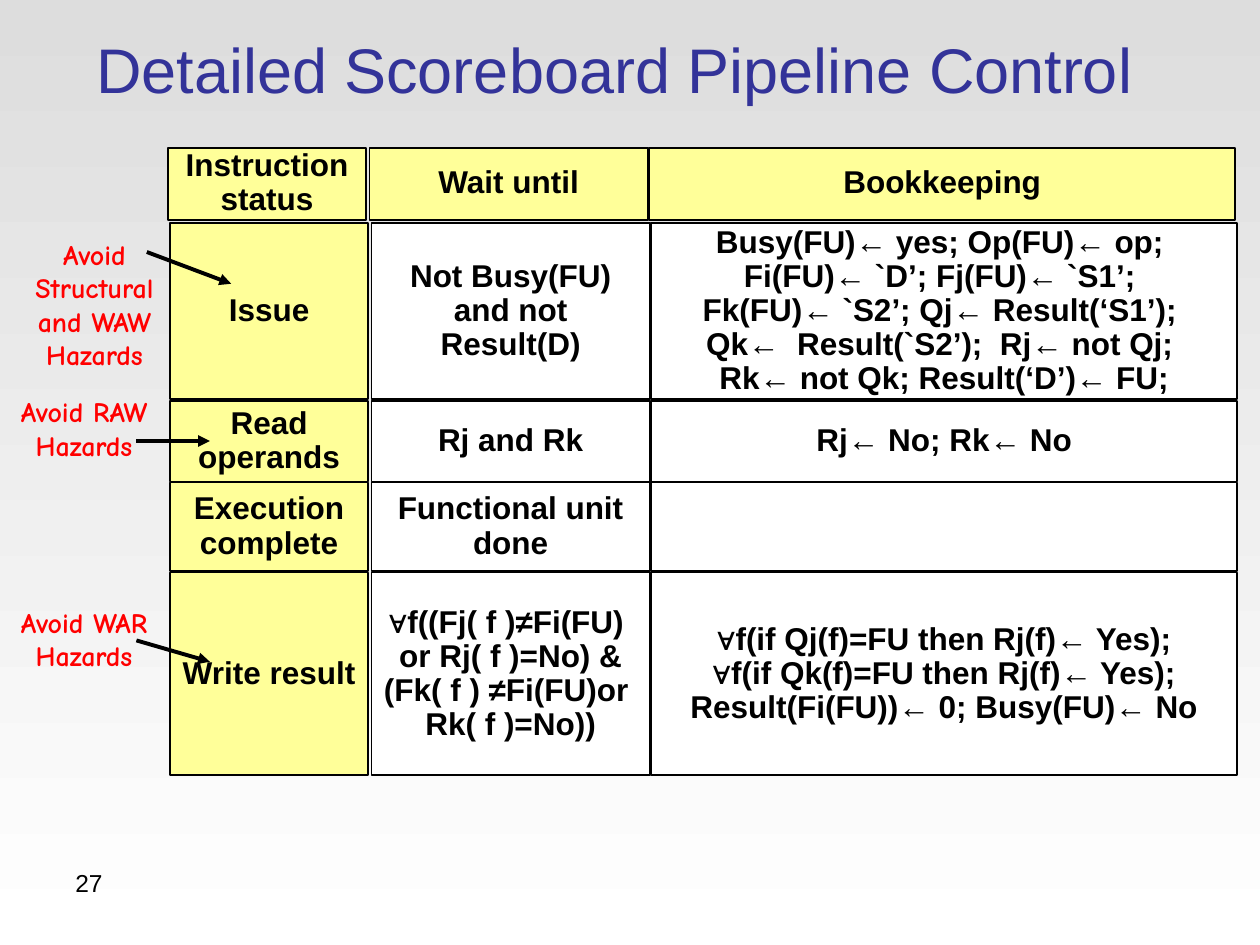
from dataclasses import dataclass

from lxml import etree
from pptx import Presentation
from pptx.dml.color import RGBColor
from pptx.enum import shapes, text
from pptx.oxml import ns
from pptx.util import Cm, Pt

BLACK, WHITE, YELLOW, RED, NAVY = "000000", "FFFFFF", "FFFF99", "FF0000", "333399"


@dataclass
class Band:
    """One table row: its top, height and three cell texts."""
    top: float
    height: float
    words: tuple[str, str, str]


@dataclass
class Note:
    """A red remark and the arrow from it to a cell."""
    words: str
    top: float
    width: float
    height: float
    start: tuple[float, float]
    end: tuple[float, float]


COLS = [(3.43, 3.99), (7.49, 5.61), (13.13, 11.81)]
BANDS = [
    Band(2.98, 1.45, ("Instruction status", "Wait until", "Bookkeeping")),
    Band(4.49, 3.56, (
        "Issue",
        "Not Busy(FU) and not Result(D)",
        "Busy(FU)← yes; Op(FU)← op; \nFi(FU)← `D’; Fj(FU)← `S1’; \n"
        "Fk(FU)← `S2’; Qj← Result(‘S1’); \n"
        "Qk←  Result(`S2’);  Rj← not Qj; \n"
        "Rk← not Qk; Result(‘D’)← FU;")),
    Band(8.08, 1.63, ("Read operands", "Rj and Rk", "Rj← No; Rk← No")),
    Band(9.73, 1.78, ("Execution complete", "Functional unit done", "")),
    Band(11.54, 4.09, (
        "Write result",
        "∀f((Fj( f )≠Fi(FU) \nor Rj( f )=No) & (Fk( f ) ≠Fi(FU)or \nRk( f )=No))",
        "∀f(if Qj(f)=FU then Rj(f)← Yes);\n∀f(if Qk(f)=FU then Rj(f)← Yes); "
        "Result(Fi(FU))← 0; Busy(FU)← No")),
]
NOTES = [
    Note("Avoid Structural and WAW Hazards", 4.65, 3.81, 2.97, (2.96, 5.08), (4.66, 5.72)),
    Note("Avoid RAW Hazards", 7.83, 3.39, 1.63, (2.75, 8.89), (4.23, 8.89)),
    Note("Avoid WAR Hazards", 12.07, 3.39, 1.63, (2.75, 12.91), (4.23, 13.34)),
]


def tint(code: str) -> RGBColor:
    return RGBColor.from_string(code)


def write(shape, words: str, size: float = 18, font: str = "Arial",
          color: str = BLACK, bold: bool = False, space: float = 1.0,
          align=text.PP_ALIGN.CENTER, anchor=text.MSO_ANCHOR.MIDDLE) -> None:
    frame = shape.text_frame
    frame.word_wrap = True
    frame.auto_size = text.MSO_AUTO_SIZE.NONE
    frame.vertical_anchor = anchor
    frame.margin_left = frame.margin_right = Cm(0.25)
    frame.margin_top = frame.margin_bottom = Cm(0.13)
    para = frame.paragraphs[0]
    para.text = words
    para.alignment = align
    para.line_spacing = space
    for run in para.runs:
        run.font.name, run.font.size, run.font.bold = font, Pt(size), bold
        run.font.color.rgb = tint(color)


def cell(slide, left: float, top: float, width: float, height: float,
         words: str, fill: str) -> None:
    box = slide.shapes.add_shape(
        shapes.MSO_SHAPE.RECTANGLE, Cm(left), Cm(top), Cm(width), Cm(height))
    box.shadow.inherit = False
    box.fill.solid()
    box.fill.fore_color.rgb = tint(fill)
    box.line.color.rgb = tint(BLACK)
    box.line.width = Pt(1)
    if words:
        write(box, words, bold=True, space=0.9)


def arrow(slide, start: tuple[float, float], end: tuple[float, float]) -> None:
    line = slide.shapes.add_connector(
        shapes.MSO_CONNECTOR.STRAIGHT, *map(Cm, start), *map(Cm, end))
    line.line.color.rgb = tint(BLACK)
    line.line.width = Pt(2.25)
    edge = line.line._get_or_add_ln()
    etree.SubElement(edge, ns.qn("a:tailEnd"), type="triangle")
    etree.SubElement(line._element.spPr, ns.qn("a:effectLst"))


def remark(slide, note: Note) -> None:
    box = slide.shapes.add_textbox(0, Cm(note.top), Cm(note.width), Cm(note.height))
    write(box, note.words, size=16, font="Comic Neue", color=RED, bold=True,
          anchor=text.MSO_ANCHOR.TOP)


def main() -> None:
    deck = Presentation()
    deck.slide_width, deck.slide_height = Cm(25.4), Cm(19.05)
    slide = deck.slides.add_slide(deck.slide_layouts[5])

    back = slide.background.fill
    back.gradient()
    back.gradient_angle = 270
    for stop, code in zip(back.gradient_stops, ("DDDDDD", WHITE)):
        stop.color.rgb = tint(code)

    title = slide.shapes.title
    title.left, title.top, title.width, title.height = map(Cm, (0.85, 0.42, 23.07, 1.91))
    write(title, "Detailed Scoreboard Pipeline Control", size=36, color=NAVY)

    for row, band in enumerate(BANDS):
        shift = 0.04 if row == 0 else 0
        for col, ((left, width), words) in enumerate(zip(COLS, band.words)):
            fill = YELLOW if row == 0 or col == 0 else WHITE
            cell(slide, left - shift, band.top, width, band.height, words, fill)

    for note in NOTES:
        remark(slide, note)
    for note in NOTES:
        arrow(slide, note.start, note.end)

    page = slide.shapes.add_textbox(Cm(1.27), Cm(17.36), Cm(5.93), Cm(1.32))
    write(page, "27", size=14, align=text.PP_ALIGN.LEFT, anchor=text.MSO_ANCHOR.TOP)

    deck.save("out.pptx")


if __name__ == "__main__":
    main()
